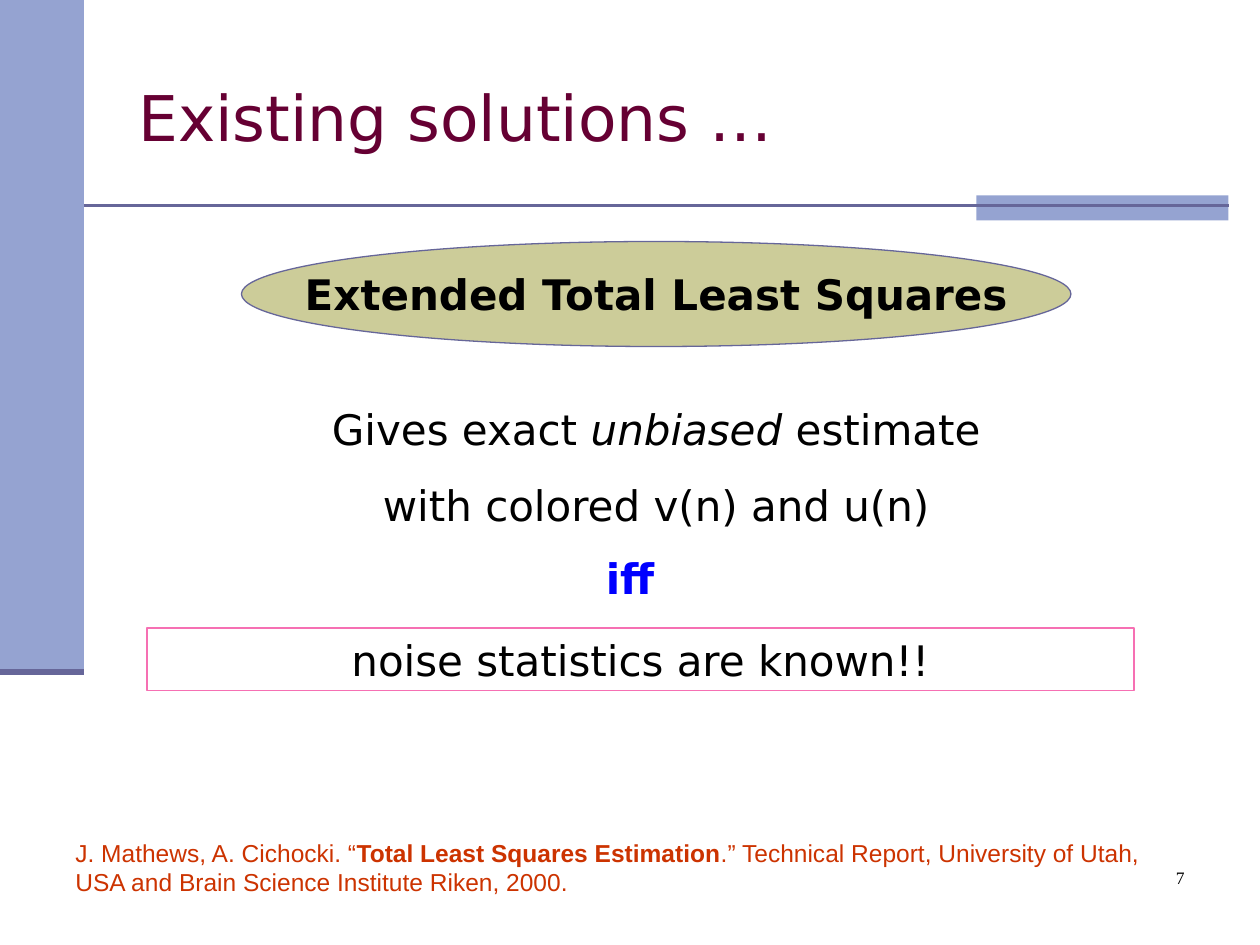
from lxml import etree
from pptx import Presentation
from pptx.dml.color import RGBColor
from pptx.enum import shapes, text
from pptx.oxml.ns import qn
from pptx.util import Pt

PERIWINKLE = RGBColor(0x95, 0xA3, 0xD1)
SLATE = RGBColor(0x66, 0x66, 0x99)
PLUM = RGBColor(0x66, 0x00, 0x33)
KHAKI = RGBColor(0xCC, 0xCC, 0x99)
PINK = RGBColor(0xF6, 0x70, 0xB3)
BLUE = RGBColor(0x00, 0x00, 0xFF)
RUST = RGBColor(0xCC, 0x33, 0x00)
BLACK = RGBColor(0x00, 0x00, 0x00)

RECTANGLE = shapes.MSO_SHAPE.RECTANGLE
OVAL = shapes.MSO_SHAPE.OVAL
LEFT, CENTER, RIGHT = text.PP_ALIGN.LEFT, text.PP_ALIGN.CENTER, text.PP_ALIGN.RIGHT
TOP, MIDDLE = text.MSO_ANCHOR.TOP, text.MSO_ANCHOR.MIDDLE

# Each paragraph is a list of (text, style); style is "", "b" or "i".
TITLE = [[("Existing solutions …", "")]]
METHOD = [[("Extended Total Least Squares", "b")]]
CLAIM = [
    [("Gives exact ", ""), ("unbiased", "i"), (" estimate", "")],
    [("with colored v(n) and u(n)", "")],
]
IFF = [[("iff", "b")]]
CONDITION = [[("noise statistics are known!!", "")]]
CITATION = [[
    ("J. Mathews, A. Cichocki. “", ""),
    ("Total Least Squares Estimation", "b"),
    (".” Technical Report, University of Utah, "
     "USA and Brain Science Institute Riken, 2000.", ""),
]]
PAGE_NUMBER = [[("7", "")]]

# Left, top, width, height in points
SIDEBAR = (0, 0, 48, 384)
RULE_TAB = (558, 111.6, 144, 14.4)
TITLE_BOX = (72, 21.6, 612, 90)
METHOD_OVAL = (138, 138, 474, 60)
CLAIM_BOX = (132, 226.8, 486, 80)
IFF_BOX = (276, 312, 168, 36)
CONDITION_BOX = (84, 358.8, 564, 36)
CITATION_BOX = (36, 475.2, 648, 41)
PAGE_BOX = (534, 492, 150, 36)


def add_shape(slide, kind, box, fill=None, line=None):
    shape = slide.shapes.add_shape(kind, *map(Pt, box))
    shape.shadow.inherit = False
    if fill is None:
        shape.fill.background()
    else:
        shape.fill.solid()
        shape.fill.fore_color.rgb = fill
    if line is None:
        shape.line.fill.background()
    else:
        shape.line.color.rgb = line
        shape.line.width = Pt(0.75)
    return shape


def add_rule(slide, left, right, y, width):
    rule = slide.shapes.add_connector(
        shapes.MSO_CONNECTOR.STRAIGHT, Pt(left), Pt(y), Pt(right), Pt(y))
    rule.line.color.rgb = SLATE
    rule.line.width = Pt(width)
    etree.SubElement(rule._element.spPr, qn("a:effectLst"))


def write(shape, paragraphs, size=24, font="DejaVu Sans", color=BLACK,
          align=CENTER, anchor=TOP, wrap=True):
    frame = shape.text_frame
    frame.word_wrap = wrap
    frame.vertical_anchor = anchor
    for index, runs in enumerate(paragraphs):
        paragraph = frame.add_paragraph() if index else frame.paragraphs[0]
        paragraph.alignment = align
        if index:
            paragraph.space_before = Pt(15)
        for content, style in runs:
            run = paragraph.add_run()
            run.text = content
            run.font.name = font
            run.font.size = Pt(size)
            run.font.color.rgb = color
            run.font.bold = style == "b"
            run.font.italic = style == "i"


def add_text(slide, box, paragraphs, **style):
    write(slide.shapes.add_textbox(*map(Pt, box)), paragraphs, **style)


def main():
    presentation = Presentation()
    presentation.slide_width, presentation.slide_height = Pt(720), Pt(540)
    slide = presentation.slides.add_slide(presentation.slide_layouts[6])

    add_shape(slide, RECTANGLE, SIDEBAR, fill=PERIWINKLE)
    add_shape(slide, RECTANGLE, RULE_TAB, fill=PERIWINKLE)
    add_rule(slide, 48, 702, 117.6, 1.5)
    add_rule(slide, 0, 48, 384, 3.5)

    add_text(slide, TITLE_BOX, TITLE, size=36, color=PLUM, align=LEFT, anchor=MIDDLE)
    oval = add_shape(slide, OVAL, METHOD_OVAL, fill=KHAKI, line=SLATE)
    write(oval, METHOD, anchor=MIDDLE, wrap=False)
    add_text(slide, CLAIM_BOX, CLAIM)
    add_text(slide, IFF_BOX, IFF, color=BLUE)
    write(add_shape(slide, RECTANGLE, CONDITION_BOX, line=PINK), CONDITION)
    add_text(slide, CITATION_BOX, CITATION, size=14, font="Arial", color=RUST,
             align=LEFT, anchor=MIDDLE)
    add_text(slide, PAGE_BOX, PAGE_NUMBER, size=10, font="Times New Roman", align=RIGHT)

    presentation.save("out.pptx")


if __name__ == "__main__":
    main()
